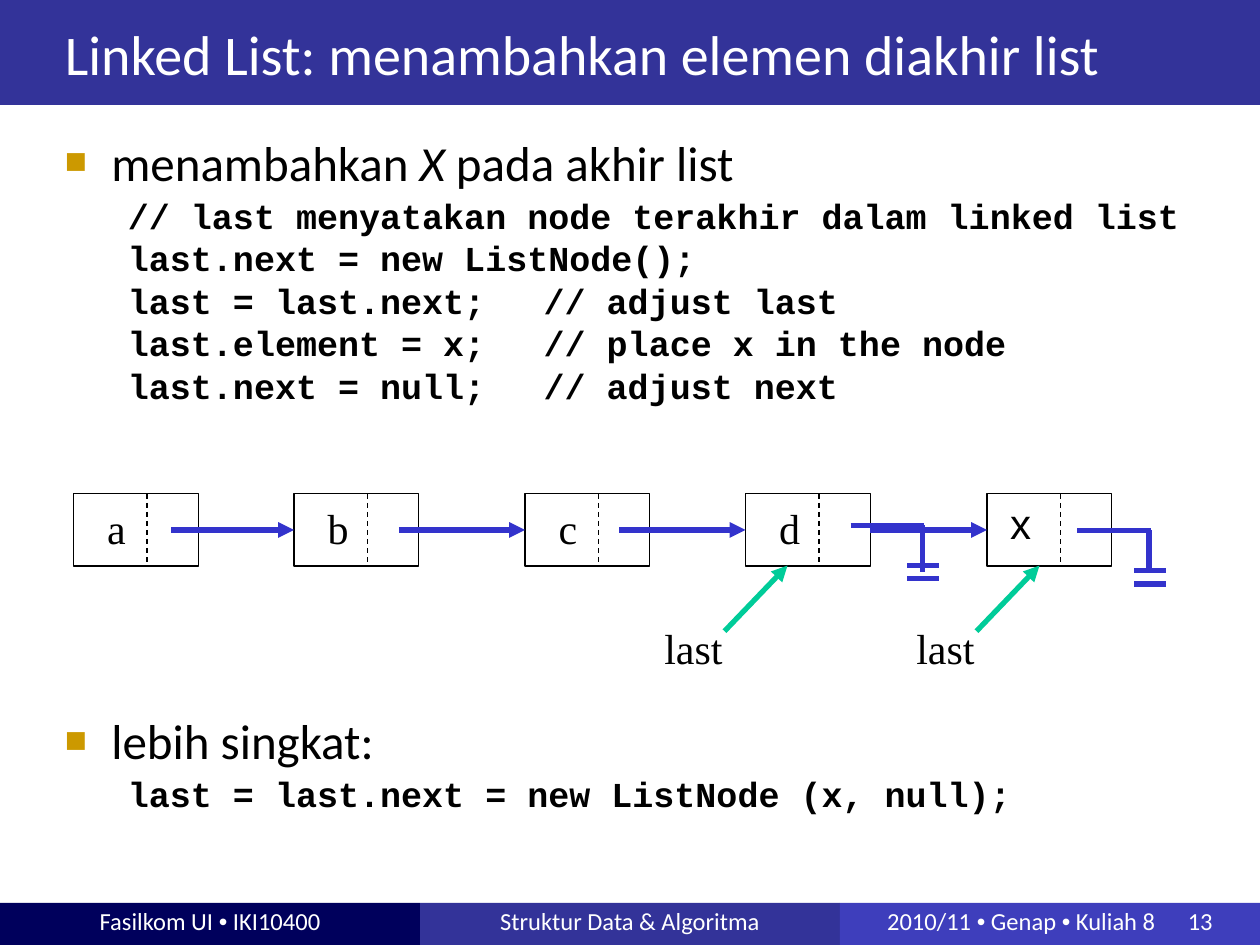
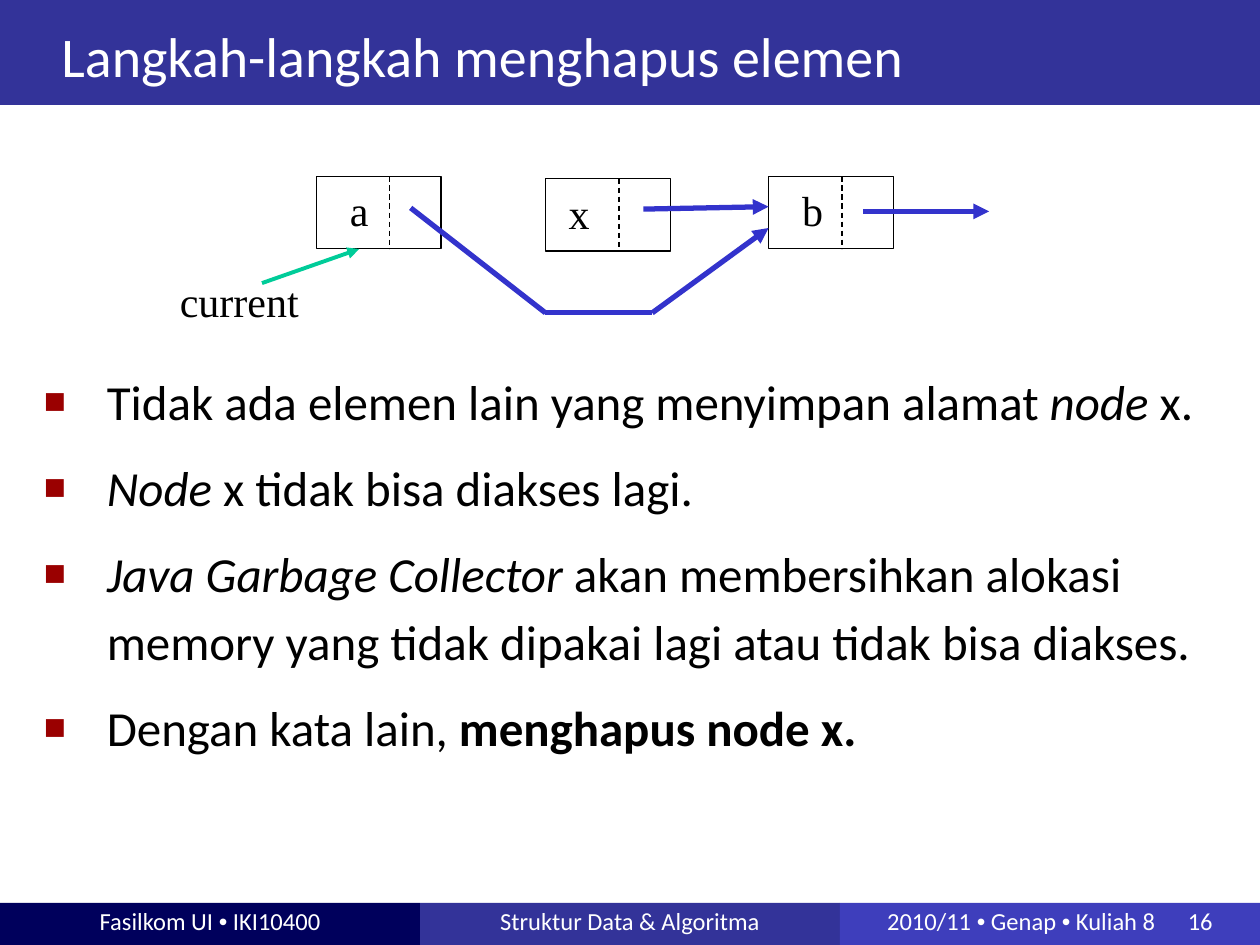
from dataclasses import dataclass
from itertools import pairwise

from lxml import etree
from pptx import Presentation
from pptx.dml.color import RGBColor
from pptx.enum.dml import MSO_LINE
from pptx.enum.shapes import MSO_CONNECTOR, MSO_SHAPE
from pptx.enum.text import MSO_ANCHOR as Anchor, PP_ALIGN as Align
from pptx.oxml.ns import qn
from pptx.util import Pt


@dataclass(frozen=True)
class Theme:
    band: str = "333399"
    footer_dark: str = "00005C"
    footer_light: str = "3E3EBC"
    white: str = "FFFFFF"
    black: str = "000000"
    link: str = "3333CC"
    pointer: str = "00CC99"
    gold_bullet: str = "CC9900"
    red_bullet: str = "9A0000"
    text_font: str = "Calibri"
    code_font: str = "Courier New"
    node_font: str = "Times New Roman"
    symbol_font: str = "Arial"
    title_size: float = 32
    body_size: float = 28
    node_size: float = 24
    code_size: float = 20
    footer_size: float = 14


THEME = Theme()
SLIDE_WIDTH, SLIDE_HEIGHT = 720, 540
BAND_HEIGHT, FOOTER_HEIGHT = 60, 24
NODE_WIDTH, NODE_HEIGHT, NODE_DIVIDER = 71.3, 41.3, 42
LEFT_SIDE, RIGHT_SIDE = 1, 3


def points(*lengths):
    return [Pt(length) for length in lengths]


def color(value):
    return RGBColor.from_string(value)


def add_run(paragraph, text, font, size, fill, bold=False, italic=False):
    run = paragraph.add_run()
    run.text = text
    run.font.name = font
    run.font.size = Pt(size)
    run.font.bold = bold
    run.font.italic = italic
    run.font.color.rgb = color(fill)


def set_frame(frame, anchor=Anchor.TOP, insets=(7.2, 3.6, 7.2, 3.6)):
    frame.word_wrap = True
    frame.vertical_anchor = anchor
    (frame.margin_left, frame.margin_top,
     frame.margin_right, frame.margin_bottom) = points(*insets)
    return frame


def add_text_frame(slide, box, anchor=Anchor.TOP, **options):
    return set_frame(slide.shapes.add_textbox(*points(*box)).text_frame, anchor, **options)


def add_rectangle(slide, box, fill, outline=None):
    shape = slide.shapes.add_shape(MSO_SHAPE.RECTANGLE, *points(*box))
    shape.shadow.inherit = False
    shape.fill.solid()
    shape.fill.fore_color.rgb = color(fill)
    if outline:
        shape.line.color.rgb = color(outline)
        shape.line.width = Pt(0.75)
    else:
        shape.line.fill.background()
    return shape


def add_line(slide, start, end, stroke=THEME.link, width=3, arrow=False, dashed=False):
    line = slide.shapes.add_connector(MSO_CONNECTOR.STRAIGHT, *points(*start, *end))
    line.line.color.rgb = color(stroke)
    line.line.width = Pt(width)
    if dashed:
        line.line.dash_style = MSO_LINE.DASH
    if arrow:
        etree.SubElement(line.line._get_or_add_ln(), qn("a:tailEnd"), type="triangle")
    etree.SubElement(line._element.spPr, qn("a:effectLst"))
    return line


def add_title(slide, box, text, line_spacing=1.0):
    add_rectangle(slide, (0, 0, SLIDE_WIDTH, BAND_HEIGHT), THEME.band)
    paragraph = add_text_frame(slide, box, Anchor.BOTTOM).paragraphs[0]
    paragraph.line_spacing = line_spacing
    add_run(paragraph, text, THEME.text_font, THEME.title_size, THEME.white)


def add_footer(slide, number):
    top, width = SLIDE_HEIGHT - FOOTER_HEIGHT, SLIDE_WIDTH / 3
    insets = (7.2, 0, 7.2, 3.6)
    parts = (
        (THEME.footer_dark, ("Fasilkom UI ", "•", " IKI10400"), insets),
        (THEME.band, ("Struktur Data & Algoritma",), insets),
        (THEME.footer_light, ("2010/11 ", "•", " Genap ", "•", " Kuliah 8"), (7.2, 0, 40, 3.6)),
    )
    for index, (fill, pieces, part_insets) in enumerate(parts):
        part = add_rectangle(slide, (index * width, top, width, FOOTER_HEIGHT), fill)
        paragraph = set_frame(part.text_frame, Anchor.MIDDLE, part_insets).paragraphs[0]
        paragraph.alignment = Align.CENTER
        for piece in pieces:
            font = THEME.symbol_font if piece == "•" else THEME.text_font
            add_run(paragraph, piece, font, THEME.footer_size, THEME.white)
    number_frame = add_text_frame(slide, (671.7, top, 48.3, FOOTER_HEIGHT), Anchor.MIDDLE,
                                  insets=insets)
    add_run(number_frame.paragraphs[0], str(number), THEME.text_font,
            THEME.footer_size, THEME.white)


def next_paragraph(frame, line_spacing, before, after):
    """Return a spaced paragraph, reusing the empty first one without space before."""
    first = not frame.paragraphs[0].runs
    paragraph = frame.paragraphs[0] if first else frame.add_paragraph()
    paragraph.line_spacing = line_spacing
    paragraph.space_before = Pt(0 if first else before)
    paragraph.space_after = Pt(after)
    return paragraph


def set_indent(paragraph, left, first_line):
    properties = paragraph._p.get_or_add_pPr()
    properties.set("marL", str(Pt(left)))
    properties.set("indent", str(Pt(first_line)))
    return properties


def add_bullet(frame, pieces, bullet_color, indent, line_spacing, before, after):
    """Add a square bullet; pieces are (text, style) with style "", "i" or "b"."""
    paragraph = next_paragraph(frame, line_spacing, before, after)
    properties = set_indent(paragraph, indent, -indent)
    bullet_fill = etree.SubElement(properties, qn("a:buClr"))
    etree.SubElement(bullet_fill, qn("a:srgbClr"), val=bullet_color)
    etree.SubElement(properties, qn("a:buSzPct"), val="75000")
    etree.SubElement(properties, qn("a:buFont"), typeface=THEME.symbol_font)
    etree.SubElement(properties, qn("a:buChar"), char="■")
    for text, style in pieces:
        add_run(paragraph, text, THEME.text_font, THEME.body_size, THEME.black,
                bold=style == "b", italic=style == "i")


def add_code_line(frame, text):
    paragraph = next_paragraph(frame, 0.7, 2.5, 5)
    properties = set_indent(paragraph, 57.6, -21.6)
    etree.SubElement(properties, qn("a:buNone"))
    tabs = etree.SubElement(properties, qn("a:tabLst"))
    etree.SubElement(tabs, qn("a:tab"), pos=str(Pt(216.7)), algn="l")
    add_run(paragraph, text, THEME.code_font, THEME.code_size, THEME.black, bold=True)


def write_label(frame, text, font=THEME.node_font, align=Align.LEFT):
    paragraph = frame.paragraphs[0]
    paragraph.alignment = align
    paragraph.line_spacing = 0.95
    add_run(paragraph, text, font, THEME.node_size, THEME.black)


def add_node(slide, left, top, label="", label_inset=19.2):
    """Draw a list node: element on the left, next field right of the dashed line."""
    node = add_rectangle(slide, (left, top, NODE_WIDTH, NODE_HEIGHT), THEME.white, THEME.black)
    if label:
        write_label(set_frame(node.text_frame, Anchor.MIDDLE, (label_inset, 3.6, 0, 3.6)), label)
    divider = left + NODE_DIVIDER
    add_line(slide, (divider, top), (divider, top + NODE_HEIGHT), THEME.black, 0.75, dashed=True)
    return node


def add_null_link(slide, left, top, stem):
    """Draw a next field that ends in the two bars of a null reference."""
    stem_left, bar_left = left + 41, left + 32.4
    add_line(slide, (left, top), (left + 42, top))
    add_line(slide, (stem_left, top), (stem_left, top + stem))
    for drop in (23, 30.6):
        add_line(slide, (bar_left, top + drop), (bar_left + 18, top + drop))


def add_last_pointer(slide, left, top):
    write_label(add_text_frame(slide, (left, top, 54, 34.6)), "last", align=Align.RIGHT)
    add_line(slide, (left + 48, top + 6.5), (left + 84, top - 31), THEME.pointer, arrow=True)


def add_append_diagram(slide, left, top):
    middle = top + NODE_HEIGHT / 2
    offsets = {"a": 0, "b": 126, "c": 258, "d": 384}
    nodes = [add_node(slide, left + offset, top, label) for label, offset in offsets.items()]
    new_left = left + 522
    nodes.append(add_node(slide, new_left, top))
    write_label(add_text_frame(slide, (new_left + 6.2, top + 0.8, 30, 34)), "x",
                THEME.symbol_font)

    link_starts = (56, 186, 312, 384 + NODE_WIDTH)
    for start, target in zip(link_starts, nodes[1:]):
        link = add_line(slide, (left + start, middle), (left + start + 72, middle), arrow=True)
        if target is nodes[-1]:
            link.begin_connect(nodes[-2], RIGHT_SIDE)
        link.end_connect(target, LEFT_SIDE)

    add_null_link(slide, left + 444, top + 18, 26.6)
    add_null_link(slide, new_left + 51.6, top + 20.9, 23.8)
    for pointer_left in (324, 468):
        add_last_pointer(slide, left + pointer_left, top + 72)


def add_delete_diagram(slide, left, top):
    add_node(slide, left, top, "a")
    add_node(slide, left + 258.5, top, "b")
    add_node(slide, left + 131, top + 1.3, "x", label_inset=13.2)
    add_line(slide, (left + 312.5, top + 20), (left + 384.5, top + 20), arrow=True)
    add_line(slide, (left + 187, top + 18.7), (left + 258.5, top + 17.3), arrow=True)

    write_label(add_text_frame(slide, (left - 85, top + 55.4, 90, 34.6)), "current")
    add_line(slide, (left - 31, top + 61), (left + 24.5, top + 41.5), THEME.pointer, 2.25,
             arrow=True)

    bypass = [(left + x, top + y) for x, y in ((54, 18), (131, 78), (192, 78), (258.5, 29.5))]
    for start, end in pairwise(bypass):
        add_line(slide, start, end, arrow=end == bypass[-1])


def build_append_slide(slide):
    add_title(slide, (30, 1.4, 656.6, 51.8), "Linked List: menambahkan elemen diakhir list")
    add_footer(slide, 13)
    frame = add_text_frame(slide, (30, 78.5, 656.6, 417))
    add_bullet(frame, (("menambahkan ", ""), ("X", "i"), (" pada akhir list", "")),
               THEME.gold_bullet, 26.6, 0.8, 3, 6)
    for line in (
        "// last menyatakan node terakhir dalam linked list",
        "last.next = new ListNode();",
        "last = last.next;\t// adjust last",
        "last.element = x;\t// place x in the node",
        "last.next = null;\t// adjust next",
    ):
        add_code_line(frame, line)
    add_bullet(frame, (("lebih singkat:", ""),), THEME.gold_bullet, 26.6, 0.8, 176, 6)
    add_code_line(frame, "last = last.next = new ListNode (x, null);")
    add_append_diagram(slide, 42, 282.2)


def build_delete_slide(slide):
    add_title(slide, (28, 5, 680.4, 49), "Langkah-langkah menghapus elemen", 1.15)
    add_footer(slide, 16)
    frame = add_text_frame(slide, (18, 203.8, 673.2, 292.3))
    for pieces in (
        (("Tidak ada elemen lain yang menyimpan alamat ", ""), ("node", "i"), (" x.", "")),
        (("Node", "i"), (" x tidak bisa diakses lagi.", "")),
        (("Java Garbage Collector", "i"),
         (" akan membersihkan alokasi memory yang tidak dipakai lagi"
          " atau tidak bisa diakses.", "")),
        (("Dengan kata lain, ", ""), ("menghapus node x.", "b")),
    ):
        add_bullet(frame, pieces, THEME.red_bullet, 36, 1.15, 3.5, 7)
    add_delete_diagram(slide, 180.7, 100.8)


def main():
    presentation = Presentation()
    presentation.slide_width, presentation.slide_height = points(SLIDE_WIDTH, SLIDE_HEIGHT)
    blank = presentation.slide_layouts[6]
    for build_slide in (build_append_slide, build_delete_slide):
        build_slide(presentation.slides.add_slide(blank))
    presentation.save("out.pptx")


if __name__ == "__main__":
    main()
